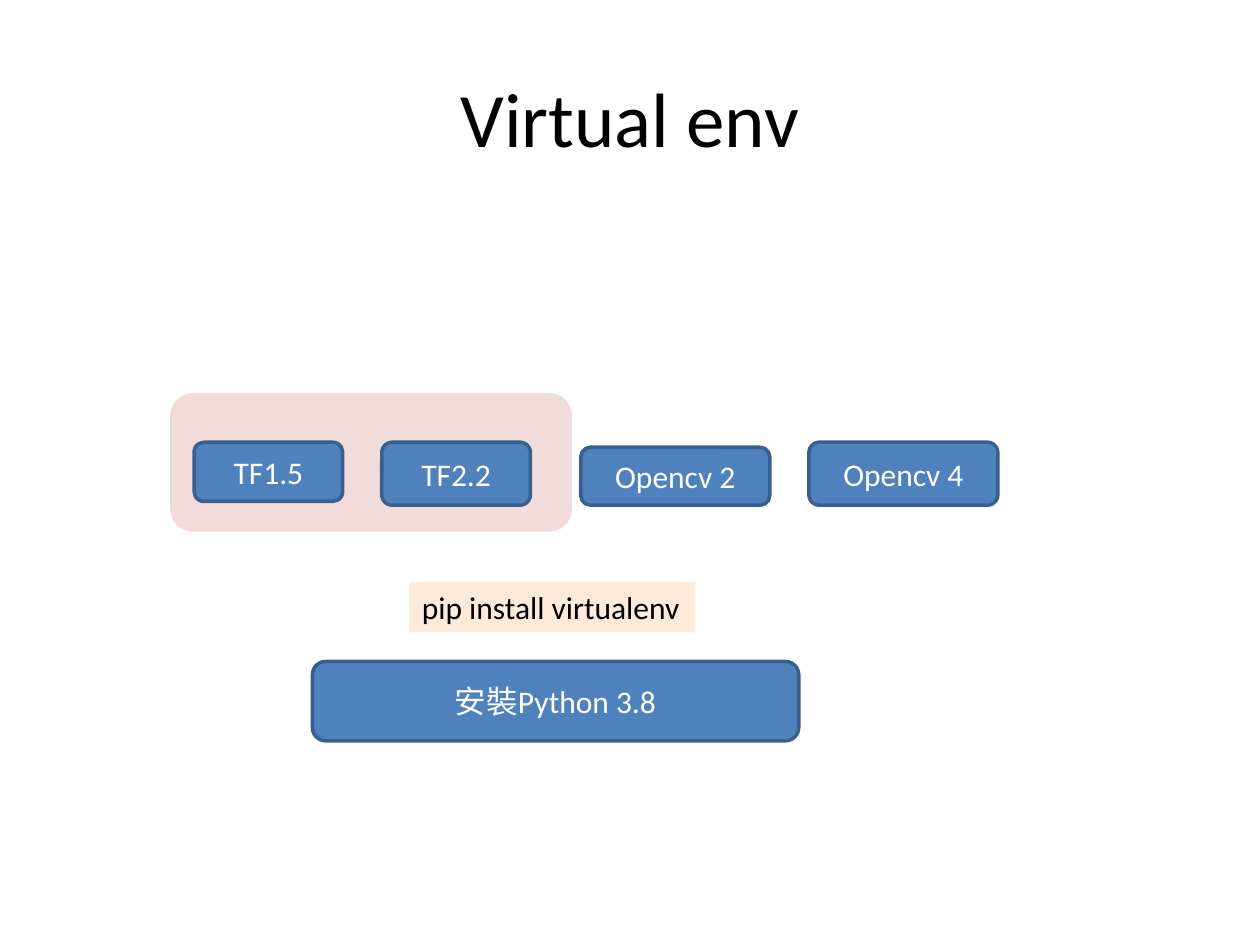
from dataclasses import dataclass
from pptx import Presentation
from pptx.dml.color import RGBColor
from pptx.enum.shapes import MSO_SHAPE
from pptx.enum.text import MSO_ANCHOR, MSO_AUTO_SIZE, PP_ALIGN
from pptx.util import Inches, Pt

HEX = {"blue": "4F81BD", "edge": "3A5F8C", "pink": "F2DCDB",
       "peach": "FDEADA", "white": "FFFFFF", "black": "000000"}
CELL = 0.1  # grid of 100 columns by 75 rows, in inches


@dataclass
class Box:
    col: float
    row: float
    wide: float
    high: float
    text: str = ""
    fill: str = "blue"
    edge: str = "edge"
    round: bool = True


def rgb(name: str) -> RGBColor:
    return RGBColor.from_string(HEX[name])


def place(box: Box) -> list:
    return [Inches(n * CELL) for n in (box.col, box.row, box.wide, box.high)]


def write(shape, text: str, size: float = 18, color: str = "white",
          align=PP_ALIGN.CENTER, anchor=MSO_ANCHOR.MIDDLE, wrap: bool = True) -> None:
    frame = shape.text_frame
    frame.word_wrap = wrap
    frame.vertical_anchor = anchor
    para = frame.paragraphs[0]
    para.alignment = align
    run = para.add_run()
    run.text = text
    run.font.name = "Calibri"
    run.font.size = Pt(size)
    run.font.color.rgb = rgb(color)


def draw(box: Box):
    kind = MSO_SHAPE.ROUNDED_RECTANGLE if box.round else MSO_SHAPE.RECTANGLE
    shape = slide.shapes.add_shape(kind, *place(box))
    shape.shadow.inherit = False
    shape.fill.solid()
    shape.fill.fore_color.rgb = rgb(box.fill)
    if box.edge:
        shape.line.color.rgb = rgb(box.edge)
        shape.line.width = Pt(2)
    else:
        shape.line.fill.background()
    return shape


deck = Presentation()
deck.slide_width, deck.slide_height = Inches(10), Inches(7.5)
slide = deck.slides.add_slide(deck.slide_layouts[6])

# Group panel behind the TF boxes
draw(Box(13.5, 31.2, 31.9, 11, fill="pink", edge=""))

# Title
title = slide.shapes.add_textbox(*place(Box(5, 3, 90, 12.5)))
write(title, "Virtual env", size=44, color="black")

# Python base and the packages above it
for box in (
    Box(24.8, 52.5, 38.6, 6.3, "安裝Python 3.8"),
    Box(15.4, 35.1, 11.8, 4.7, "TF1.5"),
    Box(30.3, 35.1, 11.8, 5, "TF2.2"),
    Box(46.1, 35.5, 15, 4.6, "Opencv 2"),
    Box(64.2, 35.1, 15, 5, "Opencv 4"),
):
    write(draw(box), box.text)

# Install command
tag = draw(Box(32.5, 46.2, 22.7, 4, fill="peach", edge="", round=False))
write(tag, "pip install virtualenv", color="black", align=PP_ALIGN.LEFT,
      anchor=MSO_ANCHOR.TOP, wrap=False)
tag.text_frame.auto_size = MSO_AUTO_SIZE.SHAPE_TO_FIT_TEXT

deck.save("out.pptx")
